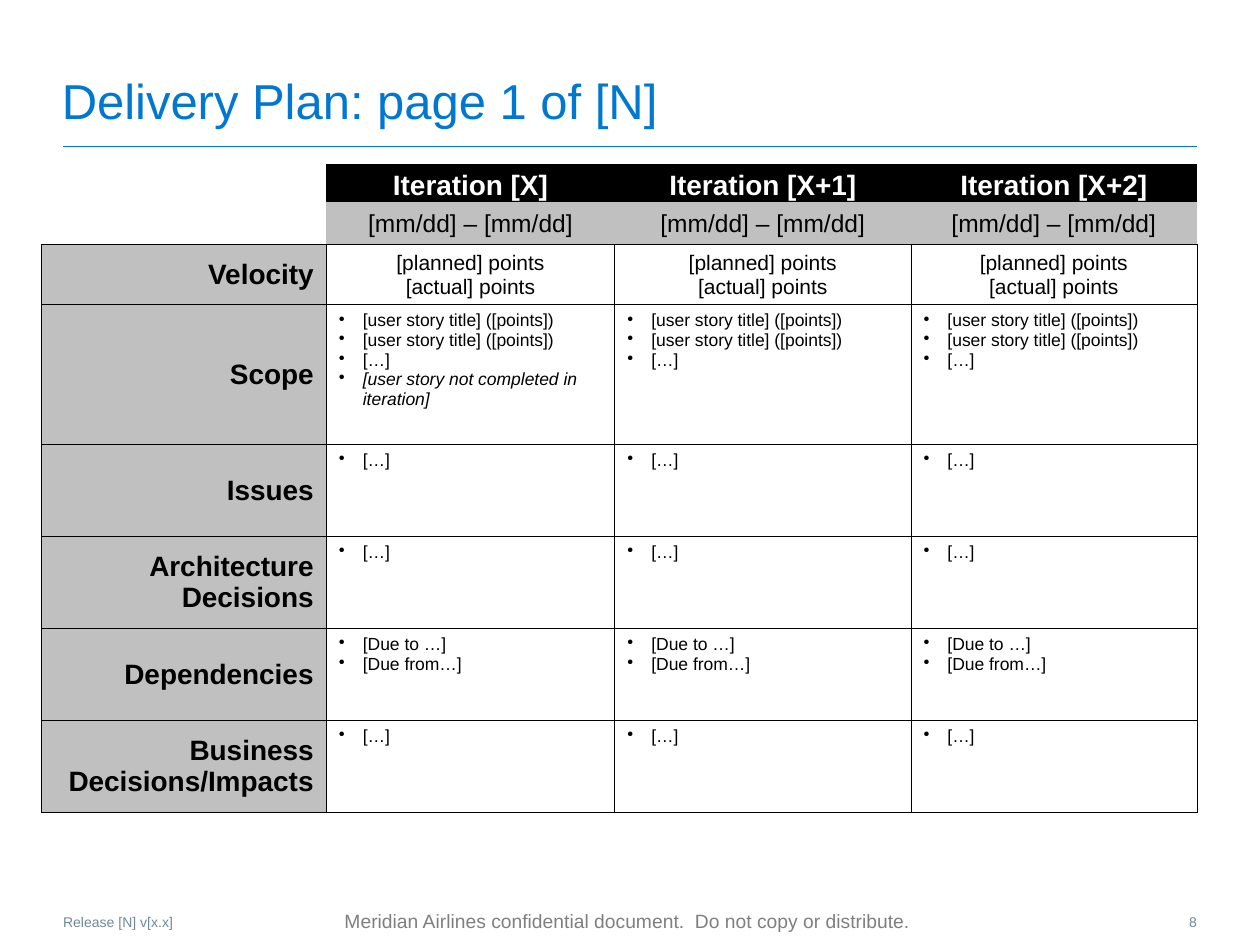
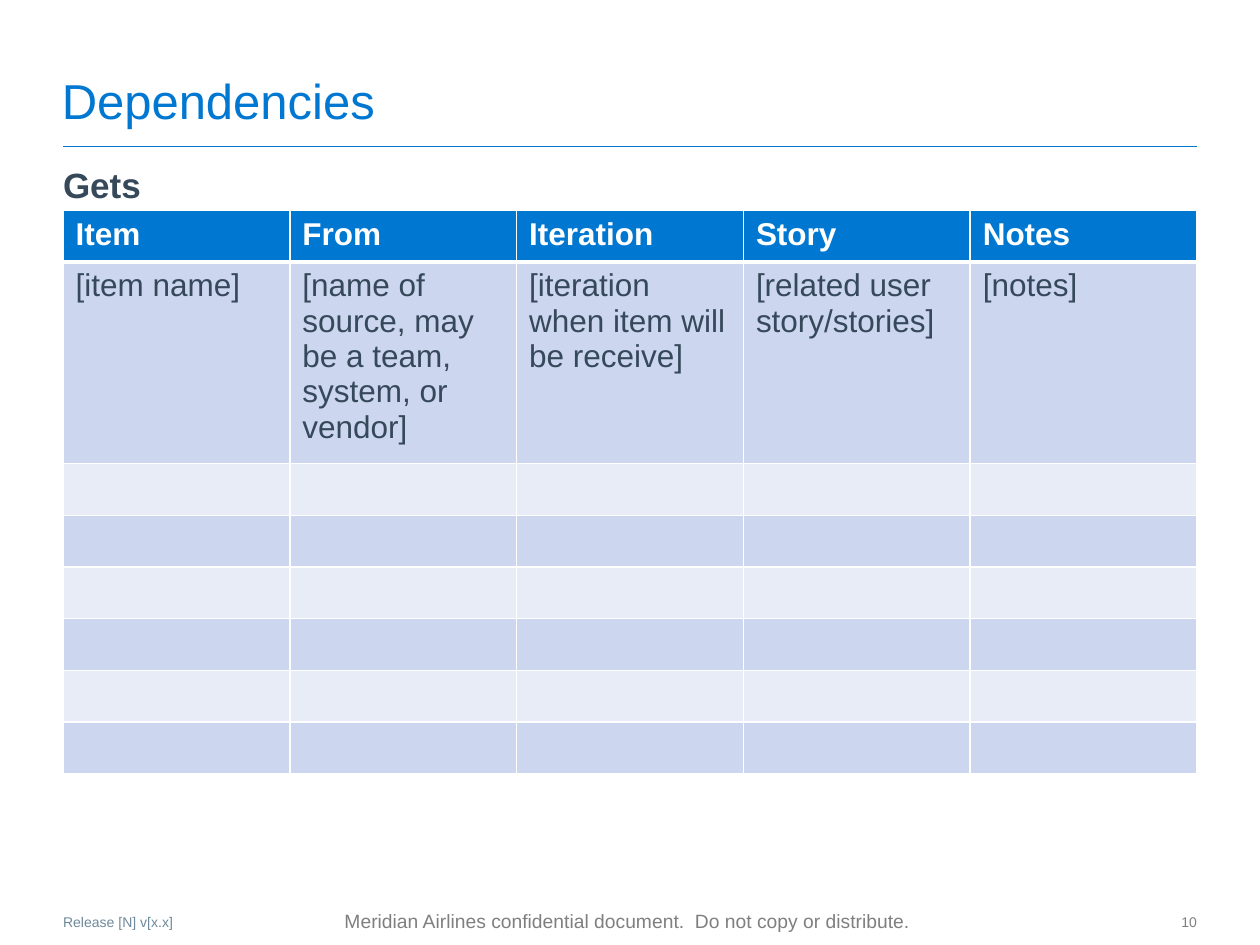
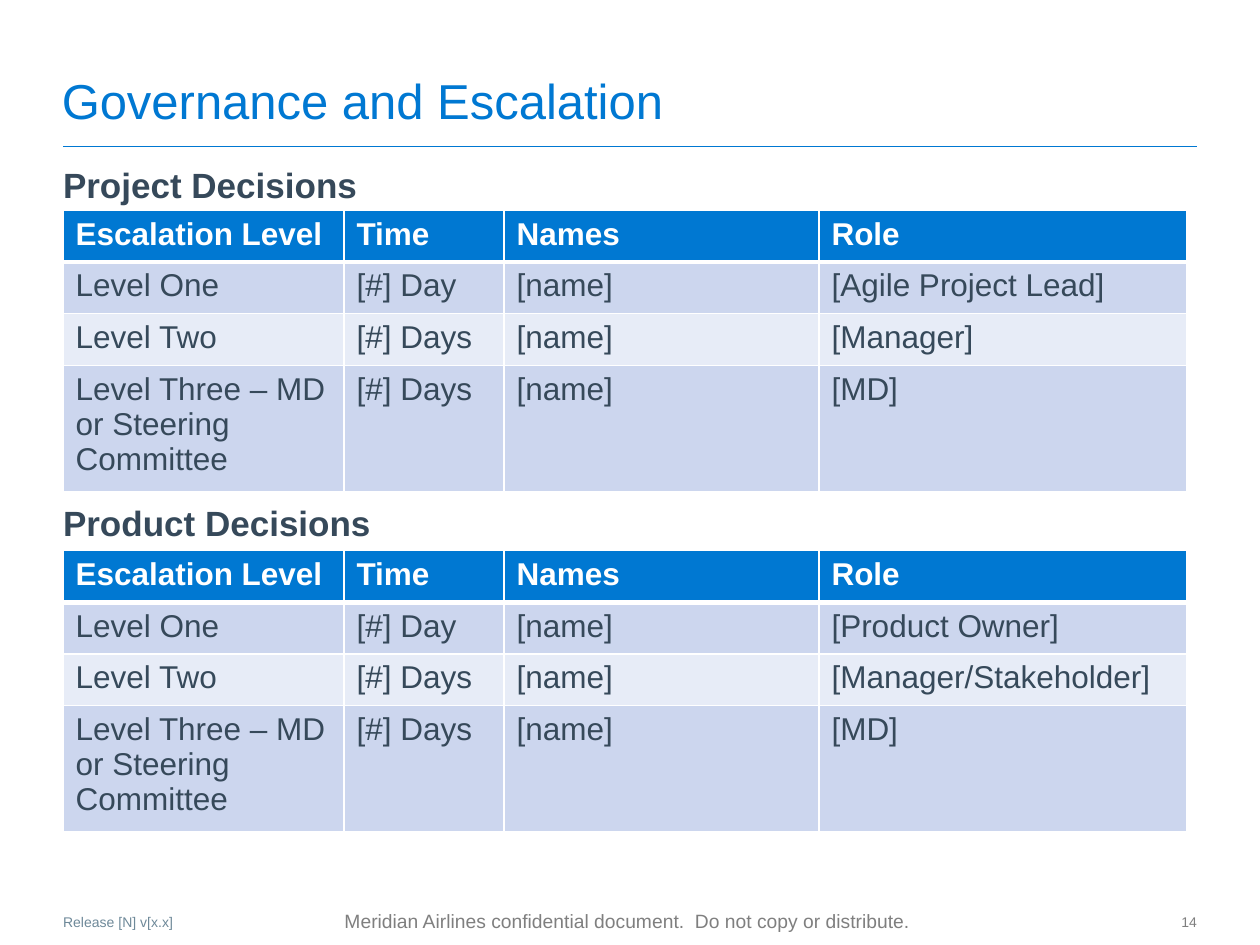
"""Build three release planning slides: delivery plan, dependencies and governance."""
from dataclasses import dataclass
from typing import Any, Optional, Sequence

import lxml.etree
import pptx
import pptx.dml.color
import pptx.enum.shapes
import pptx.enum.text
import pptx.oxml.ns
import pptx.util

RGBColor = pptx.dml.color.RGBColor
Align = pptx.enum.text.PP_ALIGN
Anchor = pptx.enum.text.MSO_ANCHOR
qn = pptx.oxml.ns.qn

BLUE = RGBColor(0x00, 0x78, 0xD2)
SLATE = RGBColor(0x36, 0x49, 0x5A)
STEEL = RGBColor(0x6E, 0x89, 0x99)
GRAY = RGBColor(0x7F, 0x7F, 0x7F)
SILVER = RGBColor(0xC0, 0xC0, 0xC0)
BLACK = RGBColor(0x00, 0x00, 0x00)
WHITE = RGBColor(0xFF, 0xFF, 0xFF)
BANDS = (RGBColor(0xCC, 0xD6, 0xEE), RGBColor(0xE7, 0xEC, 0xF7))

FONT = "Arial"
SLIDE_WIDTH, SLIDE_HEIGHT = pptx.util.Inches(10), pptx.util.Inches(7.5)
COLUMN, ROW = SLIDE_WIDTH / 100, SLIDE_HEIGHT / 75
BULLET_INDENT = pptx.util.Inches(0.19)
TIGHT = (0.01, 0.01, 0.01, 0)
ROOMY = (0.1, 0.05, 0.1, 0.05)
FLUSH = (0, 0, 0, 0)


@dataclass(frozen=True)
class Box:
    """A place on the grid, in columns and rows."""
    left: float
    top: float
    width: float
    height: float

    def lengths(self) -> tuple[int, int, int, int]:
        """Return left, top, width and height as slide lengths."""
        return (round(self.left * COLUMN), round(self.top * ROW),
                round(self.width * COLUMN), round(self.height * ROW))


@dataclass(frozen=True)
class Border:
    """The colour and width of one cell edge; no colour hides it."""
    color: Optional[RGBColor] = None
    width: float = 0.5


@dataclass(frozen=True)
class BandedTable:
    """A table with a blue header over banded rows."""
    top: float
    widths: Sequence[float]
    records: Sequence[Sequence[str]]


@dataclass(frozen=True)
class PlanRow:
    """One topic of the delivery plan with the lines in each iteration."""
    topic: str
    height: float
    lines: Sequence[str]


HIDDEN = Border()
THIN_BLACK = Border(BLACK)
THIN_WHITE, THICK_WHITE = Border(WHITE, 1), Border(WHITE, 3)

TITLE = Box(4.9, 4.2, 90.1, 6.1)
BODY = Box(5, 13, 90, 54.2)
RELEASE = Box(5, 72.5, 42.5, 1.4)
CONFIDENTIAL = Box(20.1, 71.8, 59.4, 2.6)
PAGE = Box(91.5, 72.5, 3.5, 1.5)
RULE = Box(5, 11.6, 90, 0)

ITERATIONS = ("Iteration [X]", "Iteration [X+1]", "Iteration [X+2]")
PLAN_WIDTHS = (22.6, 22.9, 23.5, 22.7)
STORY = "[user story title] ([points])"
UNFINISHED = "[user story not completed in iteration]"
PLAN_ROWS = (
    PlanRow("Velocity", 4.8, ("[planned] points", "[actual] points")),
    PlanRow("Scope", 11.1, (STORY, STORY, "[…]")),
    PlanRow("Issues", 7.3, ("[…]",)),
    PlanRow("Architecture Decisions", 7.3, ("[…]",)),
    PlanRow("Dependencies", 7.3, ("[Due to …]", "[Due from…]")),
    PlanRow("Business Decisions/Impacts", 7.3, ("[…]",)),
)
GETS = BandedTable(16.7, (18,) * 5, (
    ("Item", "From", "Iteration", "Story", "Notes"),
    ("[item name]", "[name of source, may be a team, system, or vendor]",
     "[iteration when item will be receive]", "[related user story/stories]", "[notes]"),
    *[("",) * 5] * 6,
))


def escalation(top: float, roles: Sequence[str]) -> BandedTable:
    """Return the escalation table that ends in the given roles."""
    levels = ("Level One", "Level Two", "Level Three – MD or Steering Committee")
    times = ("[#] Day", "[#] Days", "[#] Days")
    records = [(level, time, "[name]", role) for level, time, role in zip(levels, times, roles)]
    return BandedTable(top, (22.3, 12.7, 25, 29.2),
                       (("Escalation Level", "Time", "Names", "Role"), *records))


def write(frame: Any, *lines: str, size: float, color: RGBColor = BLACK, bold: bool = False,
          align: Any = Align.LEFT, bullet: Optional[bool] = None, gap: float = 0) -> None:
    """Write the lines as paragraphs in one format; bullet False clears an inherited one."""
    for index, line in enumerate(lines):
        paragraph = frame.add_paragraph() if index else frame.paragraphs[0]
        paragraph.alignment = align
        paragraph.space_before = pptx.util.Pt(gap if index else 0)
        if bullet is not None:
            indent = BULLET_INDENT if bullet else 0
            properties = paragraph._p.get_or_add_pPr()
            properties.set("marL", str(indent))
            properties.set("indent", str(-indent))
            mark = lxml.etree.SubElement(properties, qn("a:buChar" if bullet else "a:buNone"))
            if bullet:
                mark.set("char", "•")
        if line:
            run = paragraph.add_run()
            run.text = line
            run.font.name, run.font.size = FONT, pptx.util.Pt(size)
            run.font.bold, run.font.color.rgb = bold, color


def set_margins(holder: Any, margins: Sequence[float]) -> None:
    """Set the left, top, right and bottom margins of a frame or cell in inches."""
    (holder.margin_left, holder.margin_top,
     holder.margin_right, holder.margin_bottom) = map(pptx.util.Inches, margins)


def fill_placeholder(holder: Any, box: Box, anchor: Any, *lines: str, **style: Any) -> None:
    """Move a placeholder and write its lines."""
    holder.left, holder.top, holder.width, holder.height = box.lengths()
    frame = holder.text_frame
    frame.auto_size = pptx.enum.text.MSO_AUTO_SIZE.NONE
    frame.vertical_anchor = anchor
    set_margins(frame, FLUSH)
    write(frame, *lines, **style)


def add_note(slide: Any, box: Box, text: str, margins: Sequence[float] = FLUSH,
             wrap: bool = True, anchor: Any = Anchor.TOP, **style: Any) -> None:
    """Add a text box of the footer."""
    frame = slide.shapes.add_textbox(*box.lengths()).text_frame
    frame.word_wrap, frame.vertical_anchor = wrap, anchor
    set_margins(frame, margins)
    write(frame, text, **style)


def add_slide(deck: Any, layout: int, title: str, page: str, page_color: RGBColor = GRAY) -> Any:
    """Add a slide with the shared title, rule and footer."""
    slide = deck.slides.add_slide(deck.slide_layouts[layout])
    left, top, width, _ = RULE.lengths()
    rule = slide.shapes.add_connector(pptx.enum.shapes.MSO_CONNECTOR.STRAIGHT,
                                      left, top, left + width, top)
    rule.line.color.rgb, rule.line.width = BLUE, pptx.util.Pt(0.5)
    lxml.etree.SubElement(rule._element.spPr, qn("a:effectLst"))
    add_note(slide, CONFIDENTIAL,
             "Meridian Airlines confidential document.  Do not copy or distribute.",
             margins=ROOMY, wrap=False, anchor=Anchor.MIDDLE, size=11, color=GRAY,
             align=Align.CENTER)
    fill_placeholder(slide.shapes.title, TITLE, Anchor.BOTTOM, title, size=28, color=BLUE)
    add_note(slide, RELEASE, "Release [N] v[x.x]", size=8, color=STEEL)
    add_note(slide, PAGE, page, size=8, color=page_color, align=Align.RIGHT)
    return slide


def add_grid(slide: Any, left: float, top: float, widths: Sequence[float],
             heights: Sequence[float]) -> Any:
    """Add a table with the given column widths and row heights."""
    box = Box(left, top, sum(widths), sum(heights))
    table = slide.shapes.add_table(len(heights), len(widths), *box.lengths()).table
    table.horz_banding = False
    for column, width in zip(table.columns, widths):
        column.width = round(width * COLUMN)
    for row, height in zip(table.rows, heights):
        row.height = round(height * ROW)
    return table


def format_cell(cell: Any, *lines: str, fill: Optional[RGBColor] = None, side: Border = HIDDEN,
                above: Border = HIDDEN, below: Border = HIDDEN, anchor: Any = Anchor.TOP,
                margins: Sequence[float] = ROOMY, **style: Any) -> None:
    """Set the edges, fill, margins and text of one cell."""
    properties = cell._tc.get_or_add_tcPr()
    for edge, border in zip("LRTB", (side, side, above, below)):
        line = lxml.etree.SubElement(properties, qn(f"a:ln{edge}"),
                                     w=str(pptx.util.Pt(border.width)))
        if border.color is None:
            lxml.etree.SubElement(line, qn("a:noFill"))
        else:
            paint = lxml.etree.SubElement(line, qn("a:solidFill"))
            lxml.etree.SubElement(paint, qn("a:srgbClr"), val=str(border.color))
    if fill is None:
        cell.fill.background()
    else:
        cell.fill.solid()
        cell.fill.fore_color.rgb = fill
    cell.vertical_anchor = anchor
    set_margins(cell, margins)
    if lines:
        write(cell.text_frame, *lines, **style)


def add_banded_table(slide: Any, content: BandedTable) -> None:
    """Draw a table with a blue header over banded rows."""
    table = add_grid(slide, BODY.left, content.top, content.widths,
                     (4.1,) * len(content.records))
    for row, record in enumerate(content.records):
        header = row == 0
        for column, text in enumerate(record):
            format_cell(table.cell(row, column), text, size=18, bold=header,
                        color=WHITE if header else SLATE,
                        fill=BLUE if header else BANDS[(row - 1) % 2], side=THIN_WHITE,
                        above=THICK_WHITE if row == 1 else THIN_WHITE,
                        below=THICK_WHITE if header else THIN_WHITE)


def add_plan(slide: Any) -> None:
    """Draw the delivery plan by topic and iteration."""
    heights = (3, 3.4, *(row.height for row in PLAN_ROWS))
    table = add_grid(slide, 3.3, 13, PLAN_WIDTHS, heights)
    format_cell(table.cell(0, 0), margins=FLUSH)
    format_cell(table.cell(1, 0), margins=FLUSH, below=THIN_BLACK)
    table.cell(0, 0).merge(table.cell(1, 0))
    for column, iteration in enumerate(ITERATIONS, start=1):
        format_cell(table.cell(0, column), iteration, fill=BLACK, anchor=Anchor.BOTTOM,
                    margins=TIGHT, size=16, color=WHITE, bold=True, align=Align.CENTER)
        format_cell(table.cell(1, column), "[mm/dd] – [mm/dd]", fill=SILVER, below=THIN_BLACK,
                    anchor=Anchor.MIDDLE, margins=TIGHT, size=14, align=Align.CENTER)
    edges = dict(side=THIN_BLACK, above=THIN_BLACK, below=THIN_BLACK)
    points = dict(anchor=Anchor.MIDDLE, margins=TIGHT, size=12, align=Align.CENTER)
    for row, plan in enumerate(PLAN_ROWS, start=2):
        format_cell(table.cell(row, 0), plan.topic, fill=SILVER, anchor=Anchor.MIDDLE,
                    size=16, bold=True, align=Align.RIGHT, **edges)
        style = points if plan.topic == "Velocity" else dict(size=10, bullet=True)
        for column in range(1, len(PLAN_WIDTHS)):
            unfinished = plan.topic == "Scope" and column == 1
            lines = (*plan.lines, UNFINISHED) if unfinished else plan.lines
            cell = table.cell(row, column)
            format_cell(cell, *lines, **edges, **style)
            if unfinished:
                cell.text_frame.paragraphs[-1].runs[0].font.italic = True


def add_tables_slide(deck: Any, title: str, page: str, headings: Sequence[str],
                     tables: Sequence[BandedTable]) -> None:
    """Add a slide of headed tables."""
    slide = add_slide(deck, 1, title, page)
    fill_placeholder(slide.placeholders[1], BODY, Anchor.TOP, *headings, size=20,
                     color=SLATE, bold=True, bullet=False, gap=169)
    for content in tables:
        add_banded_table(slide, content)


def main() -> None:
    """Build and save the deck."""
    deck = pptx.Presentation()
    deck.slide_width, deck.slide_height = SLIDE_WIDTH, SLIDE_HEIGHT
    add_plan(add_slide(deck, 5, "Delivery Plan: page 1 of [N]", "8", STEEL))
    add_tables_slide(deck, "Dependencies", "10", ("Gets",), (GETS,))
    add_tables_slide(deck, "Governance and Escalation", "14",
                     ("Project Decisions", "Product Decisions"),
                     (escalation(16.7, ("[Agile Project Lead]", "[Manager]", "[MD]")),
                      escalation(43.7, ("[Product Owner]", "[Manager/Stakeholder]", "[MD]"))))
    deck.save("out.pptx")


if __name__ == "__main__":
    main()
